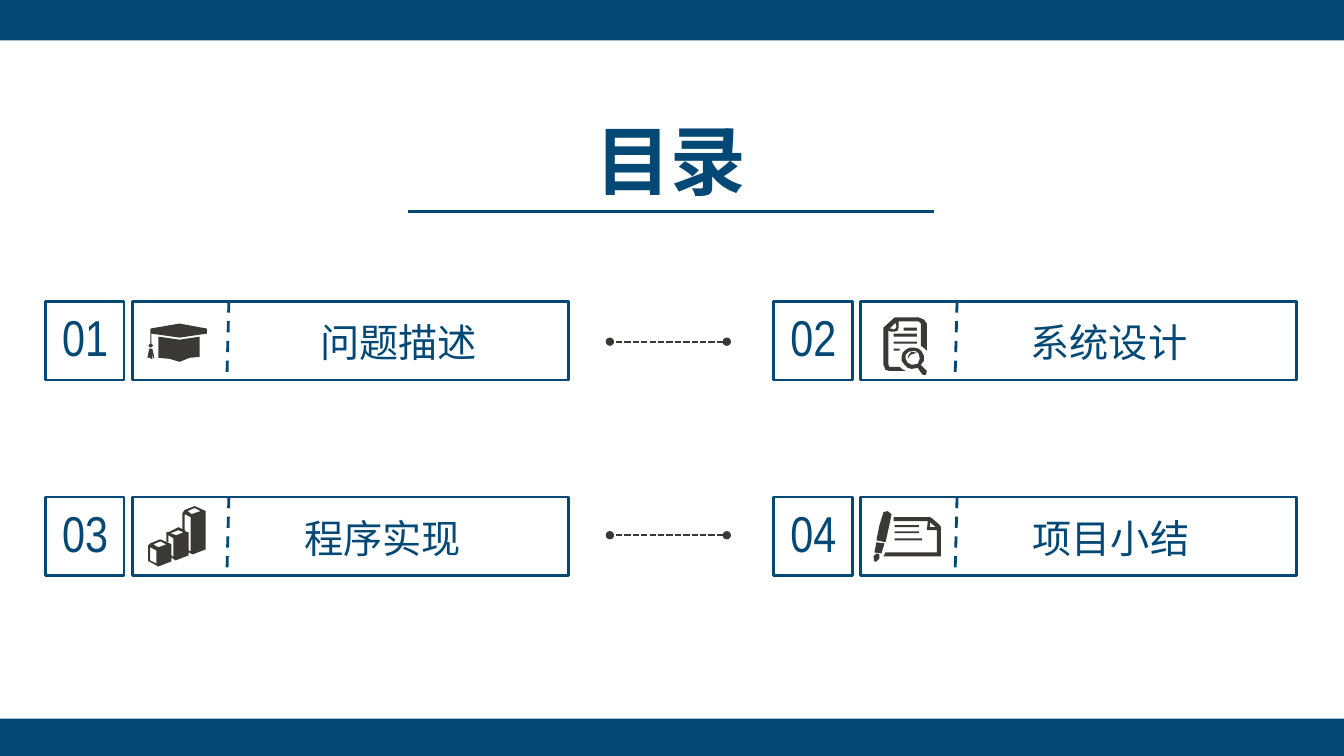
from dataclasses import dataclass

from lxml import etree
from pptx import Presentation
from pptx.dml.color import RGBColor
from pptx.enum.dml import MSO_LINE
from pptx.enum.shapes import MSO_CONNECTOR, MSO_SHAPE
from pptx.enum.text import MSO_AUTO_SIZE, PP_ALIGN
from pptx.oxml.ns import qn
from pptx.util import Emu, Inches, Pt

RECT = MSO_SHAPE.RECTANGLE
LINE = MSO_CONNECTOR.STRAIGHT
DASH, DOT = MSO_LINE.DASH, MSO_LINE.SQUARE_DOT
FIT = MSO_AUTO_SIZE.SHAPE_TO_FIT_TEXT
MID = PP_ALIGN.CENTER

HUES = {"navy": "044875", "ink": "3B3838"}
HAN, NUM = "Noto Sans CJK SC", "Arial Narrow"
WIDE, HIGH = Inches(13.33), Inches(7.5)

# Card grid, in percent of the slide
LEFT, TOP = 3.38, 39.87
COL, ROW = 54.18, 25.87
TALL = 10.4


@dataclass
class Icon:
    dx: float
    dy: float
    rings: list[str]  # outlines, in hundredths of an inch


@dataclass
class Card:
    num: str
    name: str
    dx: float
    icon: Icon


CAP = Icon(7.58, 2.93, [
    "11,34 22,35 32,38 42,34 52,33 52,13 32,16 11,13",
    "59,5 59,10 32,14 4,10 4,20 6,22 3,24 1,22 3,20 3,5 32,0",
    "5,25 2,25 0,34 1,34 2,33 2,34 4,35 4,33 4,35 5,35 5,30 6,34 7,34",
])
BARS = Icon(7.65, 1.2, [
    "39,5 43,8 52,5 46,2",
    "8,44 2,41 2,54 8,57",
    "22,27 28,29 35,26 30,24",
    "18,26 20,26 30,21 34,23 34,7 36,4 46,0 55,4 57,5 57,43 44,48 40,46 "
    "40,49 27,54 23,51 23,55 10,60 1,55 0,55 0,39 2,37 12,33 21,37 23,38 "
    "23,49 25,51 25,32 20,29 20,36 18,35",
    "36,24 38,26 40,26 40,44 42,45 42,11 36,8",
    "5,38 10,41 18,38 12,35",
])
FILE = Icon(8.18, 2.13, [
    "12,0 35,0 40,2 43,6 43,33 41,31 37,28 37,6 35,4 15,4 15,10 14,13 11,14 "
    "7,14 5,13 5,47 6,49 16,49 18,51 22,53 6,53 2,52 0,47 0,10 11,0",
    "10,31 10,33 16,33 16,31",
    "10,24 10,26 33,26 33,24",
    "10,16 10,19 33,19 33,16",
    "20,10 20,13 33,13 33,10",
    "24,41 27,37 33,35 28,34 25,37",
    "22,32 19,35 18,39 18,43 21,47 24,50 28,51 34,50 38,56 40,57 42,57 "
    "43,53 39,49 37,47 40,43 40,38 38,34 35,31 31,30 26,30",
    "30,33 25,34 22,37 22,41 24,45 28,47 34,46 36,41 35,36 33,34",
    "12,5 6,11 8,11 10,12 12,11 13,9 12,6",
])
PEN = Icon(7.43, 1.87, [
    "10,1 14,0 18,3 16,13 12,31 8,30 3,29 6,14",
    "12,41 10,45 67,45 67,16 66,14 58,7 56,6 20,6 20,10 54,10 53,19 63,19 63,41",
    "62,16 56,16 56,11",
    "21,27 48,27 48,29 21,29",
    "21,20 45,20 45,22 21,22",
    "21,14 45,14 45,16 21,16",
    "3,42 6,43 6,47 3,50 1,50 0,45",
    "3,31 1,41 8,42 11,32",
])
CARDS = [
    Card("01", "问题描述", 14.63, CAP),
    Card("02", "系统设计", 13.28, FILE),
    Card("03", "程序实现", 13.43, BARS),
    Card("04", "项目小结", 13.43, PEN),
]


def px(share: float) -> Emu:
    return Emu(round(WIDE * share / 100))


def py(share: float) -> Emu:
    return Emu(round(HIGH * share / 100))


def hue(name: str) -> RGBColor:
    return RGBColor.from_string(HUES[name])


def box(pool, x: float, y: float, w: float, h: float, full: bool = False) -> None:
    """Draw a filled band or an outlined frame."""
    rect = pool.add_shape(RECT, px(x), py(y), px(w), py(h))
    rect.shadow.inherit = False
    if full:
        rect.fill.solid()
        rect.fill.fore_color.rgb = hue("navy")
        rect.line.fill.background()
    else:
        rect.fill.background()
        rect.line.color.rgb = hue("navy")
        rect.line.width = Pt(2)


def rule(pool, x: float, y: float, x2: float, y2: float, tone: str = "navy",
         size: float = 2, dash=None, ends: bool = False) -> None:
    """Draw a straight line, with round ends if asked."""
    line = pool.add_connector(LINE, px(x), py(y), px(x2), py(y2))
    line.line.color.rgb = hue(tone)
    line.line.width = Pt(size)
    if dash is not None:
        line.line.dash_style = dash
    if ends:
        for tag in ("a:headEnd", "a:tailEnd"):
            etree.SubElement(line.line._get_or_add_ln(), qn(tag), type="oval")
    etree.SubElement(line._element.spPr, qn("a:effectLst"))


def text(pool, words: str, x: float, y: float, w: float, h: float,
         size: int, face: str = HAN, bold: bool = False) -> None:
    """Write one centred line."""
    frame = pool.add_textbox(px(x), py(y), px(w), py(h)).text_frame
    frame.word_wrap = True
    frame.auto_size = FIT
    frame.text = words
    para = frame.paragraphs[0]
    para.alignment = MID
    font = para.runs[0].font
    font.size, font.bold, font.name = Pt(size), bold, face
    font.color.rgb = hue("navy")
    etree.SubElement(font._element, qn("a:ea"), typeface=face)


def draw(pool, icon: Icon, x: float, y: float) -> None:
    """Draw all outlines of an icon as one shape."""
    rings = [[tuple(map(int, dot.split(","))) for dot in ring.split()]
             for ring in icon.rings]
    pen = pool.build_freeform(*rings[0][0], scale=Inches(0.01))
    for ring in rings:
        pen.move_to(*ring[0])
        pen.add_line_segments(ring[1:], close=True)
    form = pen.convert_to_shape(px(x + icon.dx), py(y + icon.dy))
    form.shadow.inherit = False
    form.fill.solid()
    form.fill.fore_color.rgb = hue("ink")
    form.line.fill.background()


def place(pool, card: Card, x: float, y: float) -> None:
    """Draw one numbered card as a group."""
    group = pool.add_group_shape().shapes
    text(group, card.name, x + card.dx, y + 1.6, 23.33, 7.6, 28)
    box(group, x + 6.45, y, 32.48, TALL)
    rule(group, x + 13.65, y, x + 13.5, y + TALL, dash=DASH)
    box(group, x, y, 5.85, TALL)
    text(group, card.num, x - 0.83, y, 7.58, 9.47, 36, NUM)
    draw(group, card.icon, x, y)


def main() -> None:
    deck = Presentation()
    deck.slide_width, deck.slide_height = WIDE, HIGH
    pool = deck.slides.add_slide(deck.slide_layouts[6]).shapes

    # Bands
    box(pool, 0, -0.13, 100, 5.47, full=True)
    box(pool, 0, 95.07, 100, 4.93, full=True)

    # Cards
    for i, card in enumerate(CARDS):
        row, col = divmod(i, 2)
        place(pool, card, LEFT + col * COL, TOP + row * ROW)

    # Dotted links
    for y in (45.2, 70.8):
        rule(pool, 54.08, y, 45.38, y, "ink", 1.5, DOT, ends=True)

    # Title
    text(pool, "目录", 22.5, 14.4, 54.83, 13.47, 54, bold=True)
    rule(pool, 30.38, 28, 69.53, 28)

    deck.save("out.pptx")


if __name__ == "__main__":
    main()
